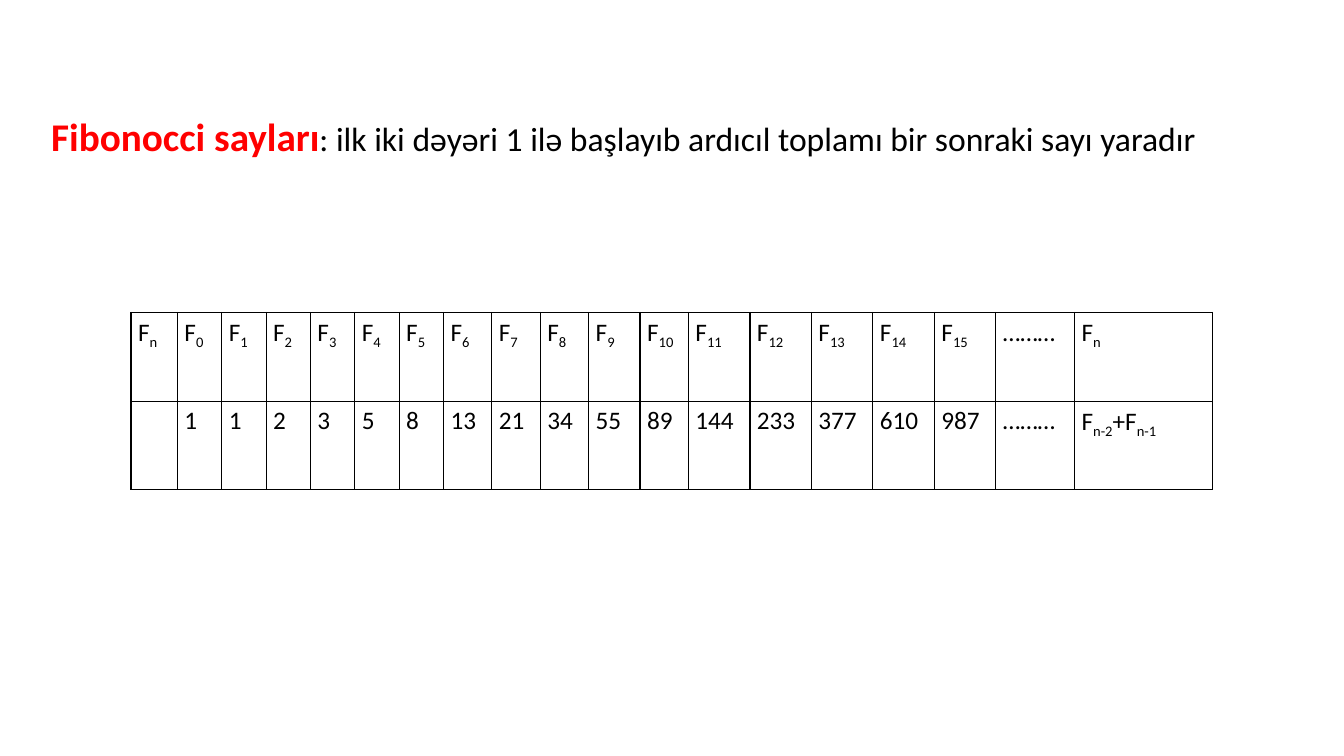
from lxml import etree
from pptx import Presentation
from pptx.dml.color import RGBColor
from pptx.enum.text import MSO_ANCHOR
from pptx.oxml.ns import qn
from pptx.util import Inches, Pt

MIDDLE = MSO_ANCHOR.MIDDLE
RED = RGBColor(0xFF, 0x00, 0x00)
BLACK = RGBColor(0x00, 0x00, 0x00)
FONT = "Calibri"
COLUMN_WIDTHS = ([0.46] + [0.44] * 6 + [0.48] * 3 + [0.51, 0.48]
                 + [0.61] * 5 + [0.78, 1.37])
ROW_HEIGHT = 0.88
LAST_INDEX = 15
DOTS = "………"
SUBSCRIPT = "-25000"


def fibonacci(count):
    numbers = [1, 1]
    while len(numbers) < count:
        numbers.append(numbers[-2] + numbers[-1])
    return numbers


def sequence_rows():
    """Return both rows; a bar in a text switches subscript on or off."""
    indices = [f"F|{index}" for index in range(LAST_INDEX + 1)]
    values = [str(number) for number in fibonacci(LAST_INDEX + 1)]
    return [["F|n", *indices, DOTS, "F|n"],
            ["", *values, DOTS, "F|n-2|+F|n-1"]]


def add_borders(cell):
    properties = cell._tc.get_or_add_tcPr()
    for position, side in enumerate(("a:lnL", "a:lnR", "a:lnT", "a:lnB")):
        line = etree.Element(qn(side), w=str(Pt(1)))
        fill = etree.SubElement(line, qn("a:solidFill"))
        etree.SubElement(fill, qn("a:srgbClr"), val=str(BLACK))
        properties.insert(position, line)


def fill_cell(cell, text):
    cell.margin_left = cell.margin_right = Inches(0.07)
    cell.margin_top = cell.margin_bottom = 0
    cell.fill.background()
    add_borders(cell)
    para = cell.text_frame.paragraphs[0]
    para.line_spacing = 1.15
    para.space_after = Pt(10)
    para.font.name = FONT
    para.font.size = Pt(18)
    para.font.color.rgb = BLACK
    if not text:
        return
    for position, part in enumerate(text.split("|")):
        span = para.add_run()
        span.text = part
        if position % 2:
            span._r.get_or_add_rPr().set("baseline", SUBSCRIPT)


def add_sequence_table(page, left, top):
    rows = sequence_rows()
    frame = page.shapes.add_table(
        len(rows), len(COLUMN_WIDTHS), Inches(left), Inches(top),
        Inches(sum(COLUMN_WIDTHS)), Inches(ROW_HEIGHT * len(rows)))
    table = frame.table
    table.first_row = table.horz_banding = False
    for column, width in zip(table.columns, COLUMN_WIDTHS):
        column.width = Inches(width)
    for row_number, texts in enumerate(rows):
        table.rows[row_number].height = Inches(ROW_HEIGHT)
        for column_number, text in enumerate(texts):
            fill_cell(table.cell(row_number, column_number), text)


def add_definition(page, left, top, width, height):
    box = page.shapes.add_textbox(
        Inches(left), Inches(top), Inches(width), Inches(height))
    box.text_frame.word_wrap = True
    box.text_frame.vertical_anchor = MIDDLE
    para = box.text_frame.paragraphs[0]
    para.line_spacing = 0.9
    spans = [
        ("Fibonocci sayları", 28, RED, True),
        (": ilk iki dəyəri 1 ilə başlayıb ardıcıl toplamı bir sonraki sayı yaradır",
         24, BLACK, False),
    ]
    for text, size, color, bold in spans:
        span = para.add_run()
        span.text = text
        span.font.name = FONT
        span.font.size = Pt(size)
        span.font.color.rgb = color
        span.font.bold = bold


def main():
    deck = Presentation()
    deck.slide_width = Inches(13.33)
    deck.slide_height = Inches(7.5)
    page = deck.slides.add_slide(deck.slide_layouts[6])
    add_sequence_table(page, 1.3, 3.1)
    add_definition(page, 0.41, 1.11, 12.17, 0.53)
    deck.save("out.pptx")


if __name__ == "__main__":
    main()
